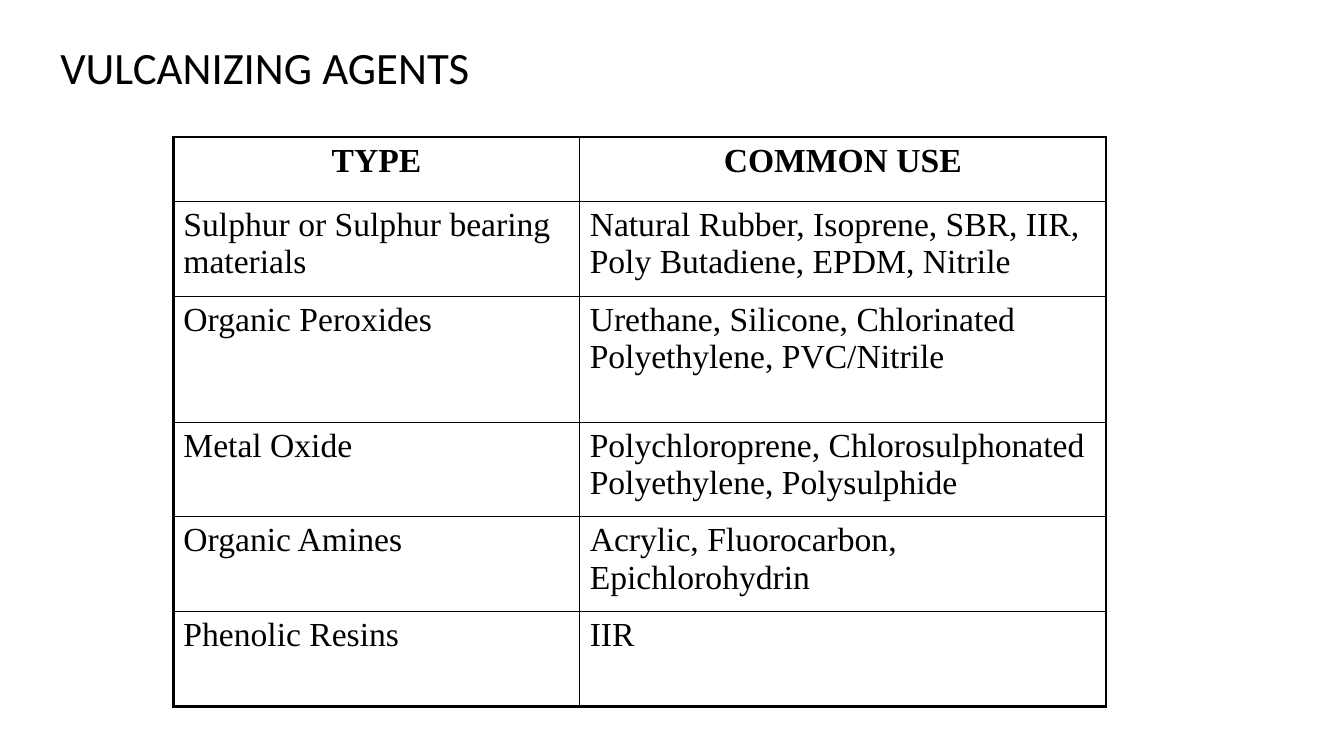
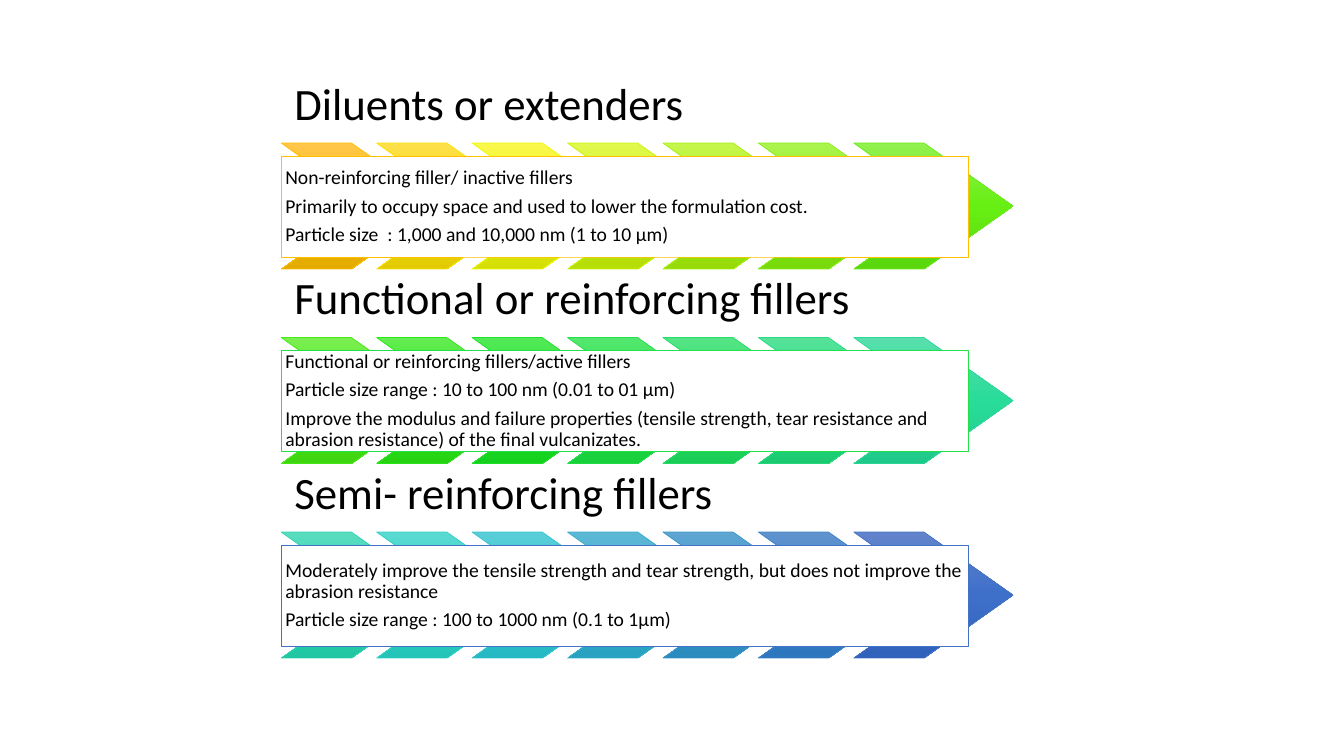
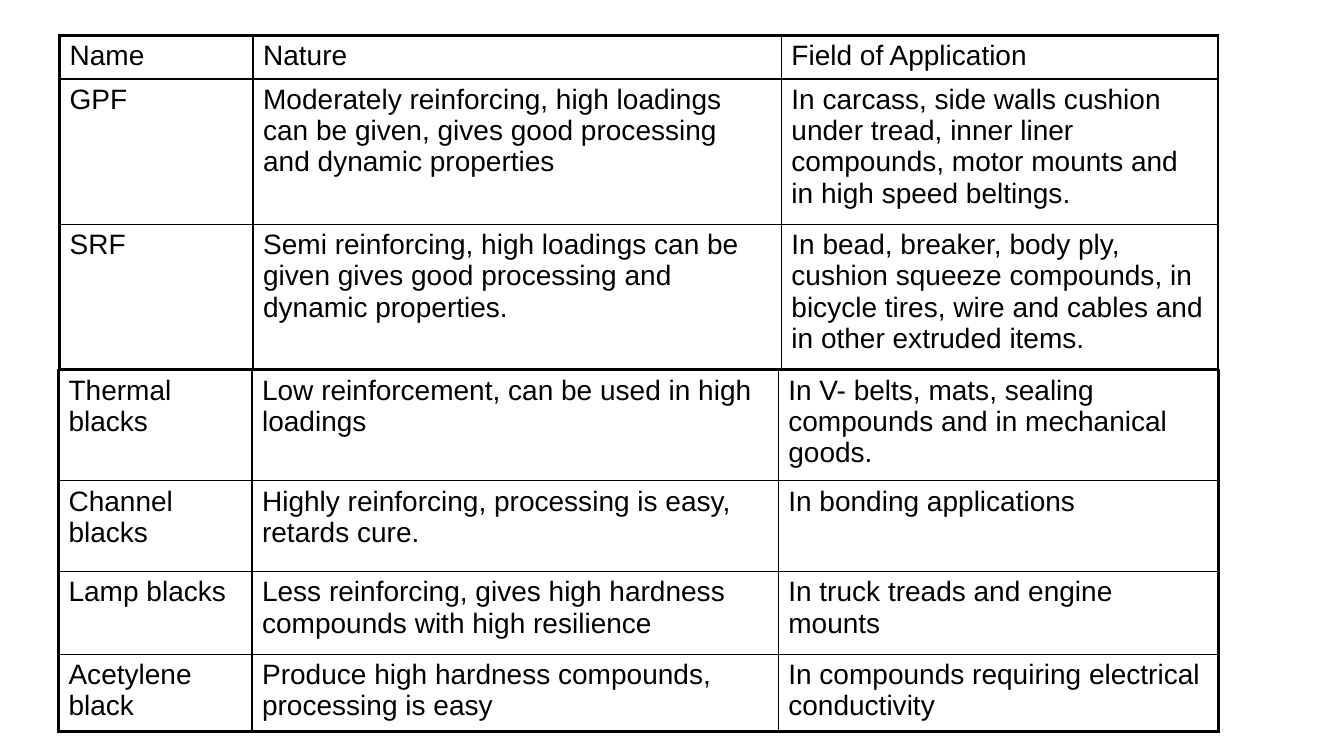
from colorsys import hls_to_rgb, rgb_to_hls
from copy import deepcopy

from lxml.etree import SubElement
from pptx import Presentation
from pptx.dml.color import RGBColor
from pptx.enum.shapes import MSO_SHAPE
from pptx.enum.text import MSO_ANCHOR, PP_ALIGN
from pptx.oxml.ns import qn
from pptx.util import Inches, Pt

BLACK, WHITE = "000000", "FFFFFF"
THICK, THIN = 2.25, 1


def rgb(code):
    """Turn a hex string into a colour."""
    return RGBColor.from_string(code)


def blend(start, end, share):
    """Return the colour at a share of the way through the hues."""
    a, b = ([v / 255 for v in rgb(c)] for c in (start, end))
    hls = [u + (v - u) * share for u, v in zip(rgb_to_hls(*a), rgb_to_hls(*b))]
    return "".join(f"{round(v * 255):02X}" for v in hls_to_rgb(*hls))


class Deck:
    """Hold the style and the current slide; lengths are percent of the slide."""

    FONT = "Calibri"
    HEADING, BODY = 32, 14
    LINE_SPACING = 0.9

    def __init__(self):
        """Start a widescreen presentation."""
        self.prs = Presentation()
        self.prs.slide_width, self.prs.slide_height = Inches(13.33), Inches(7.5)

    def slide(self):
        """Add a blank slide and make it current."""
        self.s = self.prs.slides.add_slide(self.prs.slide_layouts[6])

    def x(self, share):
        """Convert a percentage of the width."""
        return round(self.prs.slide_width * share / 100)

    def y(self, share):
        """Convert a percentage of the height."""
        return round(self.prs.slide_height * share / 100)

    def place(self, left, top, width, height):
        """Convert a whole frame."""
        return self.x(left), self.y(top), self.x(width), self.y(height)

    def style(self, p, size, font=FONT, bold=False):
        """Set the font of a paragraph."""
        f = p.font
        f.name, f.size, f.bold = font, Pt(size), bold
        f.color.rgb = rgb(BLACK)

    def fill_text(self, tf, lines, size, anchor, inset=None, after=0):
        """Fill a text frame with paragraphs."""
        tf.word_wrap, tf.vertical_anchor = True, anchor
        if inset is not None:
            tf.margin_left = tf.margin_right = Inches(inset)
            tf.margin_top = tf.margin_bottom = Inches(inset)
        for i, line in enumerate(lines):
            p = tf.add_paragraph() if i else tf.paragraphs[0]
            p.text, p.alignment = line, PP_ALIGN.LEFT
            p.line_spacing, p.space_after = self.LINE_SPACING, Pt(after)
            self.style(p, size)

    def heading(self, frame, text, anchor=MSO_ANCHOR.MIDDLE, inset=None):
        """Add a heading."""
        box = self.s.shapes.add_textbox(*self.place(*frame))
        self.fill_text(box.text_frame, [text], self.HEADING, anchor, inset)

    def shape(self, kind, frame, line):
        """Add an outlined shape without a shadow."""
        sp = self.s.shapes.add_shape(kind, *self.place(*frame))
        sp.shadow.inherit = False
        sp.line.color.rgb, sp.line.width = rgb(line), Pt(0.5)
        return sp

    def chevron(self, frame, stops, line):
        """Add a chevron with a gradient from top to bottom."""
        sp = self.shape(MSO_SHAPE.CHEVRON, frame, line)
        sp.adjustments[0] = 0.706
        sp.fill.gradient()
        sp.fill.gradient_angle = 270
        first = next(sp._element.spPr.iter(qn("a:gs")))
        first.addnext(deepcopy(first))
        for i, (stop, colour) in enumerate(zip(sp.fill.gradient_stops, stops)):
            stop.position, stop.color.rgb = i / 2, rgb(colour)

    def panel(self, frame, lines, line):
        """Add a white box with text."""
        sp = self.shape(MSO_SHAPE.RECTANGLE, frame, line)
        sp.fill.solid()
        sp.fill.fore_color.rgb = rgb(WHITE)
        self.fill_text(sp.text_frame, lines, self.BODY, MSO_ANCHOR.MIDDLE, 0.04, 5)

    def border(self, cell, widths):
        """Draw the left, right, top and bottom borders of a cell."""
        tc = cell._tc.get_or_add_tcPr()
        for i, (side, width) in enumerate(zip("LRTB", widths)):
            ln = tc.makeelement(qn(f"a:ln{side}"), {"w": str(int(Pt(width)))})
            fill = SubElement(ln, qn("a:solidFill"))
            SubElement(fill, qn("a:srgbClr"), val=BLACK)
            tc.insert(i, ln)

    def table(self, left, top, cols, heights, rows, font, size, header=False, top_line=THICK):
        """Add a table with a thick frame and thin inner lines."""
        frame = self.place(left, top, sum(cols), sum(heights))
        t = self.s.shapes.add_table(len(rows), len(cols), *frame).table
        t.first_row = t.horz_banding = False
        for col, width in zip(t.columns, cols):
            col.width = self.x(width)
        for r, (row, height) in enumerate(zip(rows, heights)):
            t.rows[r].height = self.y(height)
            for c, text in enumerate(row):
                cell, head = t.cell(r, c), header and r == 0
                cell.fill.background()
                self.border(cell, (
                    THICK if c == 0 else THIN,
                    THICK if c == len(cols) - 1 else THIN,
                    top_line if r == 0 else THIN,
                    THICK if r == len(rows) - 1 else THIN))
                p = cell.text_frame.paragraphs[0]
                p.text = text
                p.alignment = PP_ALIGN.CENTER if head else PP_ALIGN.LEFT
                self.style(p, size, font, head)


AGENTS = [
    ("TYPE", "COMMON USE"),
    ("Sulphur or Sulphur bearing materials",
     "Natural Rubber, Isoprene, SBR, IIR, Poly Butadiene, EPDM, Nitrile"),
    ("Organic Peroxides", "Urethane, Silicone, Chlorinated Polyethylene, PVC/Nitrile"),
    ("Metal Oxide", "Polychloroprene, Chlorosulphonated Polyethylene, Polysulphide"),
    ("Organic Amines", "Acrylic, Fluorocarbon, Epichlorohydrin"),
    ("Phenolic Resins", "IIR"),
]

FILLERS = [
    ("Diluents or extenders", [
        "Non-reinforcing filler/ inactive fillers",
        "Primarily to occupy space and used to lower the formulation cost.",
        "Particle size  : 1,000 and 10,000 nm (1 to 10 μm)"]),
    ("Functional or reinforcing fillers", [
        "Functional or reinforcing fillers/active fillers",
        "Particle size range : 10 to 100 nm (0.01 to 01 μm)",
        "Improve the modulus and failure properties (tensile strength, tear resistance "
        "and abrasion resistance) of the final vulcanizates."]),
    ("Semi- reinforcing fillers", [
        "Moderately improve the tensile strength and tear strength, but does not improve "
        "the abrasion resistance",
        "Particle size range : 100 to 1000 nm (0.1 to 1μm)"]),
]

FURNACE_BLACKS = [
    ("Name", "Nature", "Field of Application"),
    ("GPF",
     "Moderately reinforcing, high loadings can be given, gives good processing and "
     "dynamic properties",
     "In carcass, side walls cushion under tread, inner liner compounds, motor mounts "
     "and in high speed beltings."),
    ("SRF",
     "Semi reinforcing, high loadings can be given gives good processing and dynamic "
     "properties.",
     "In bead, breaker, body ply, cushion squeeze compounds, in bicycle tires, wire and "
     "cables and in other extruded items."),
]

OTHER_BLACKS = [
    ("Thermal blacks", "Low reinforcement, can be used in high loadings",
     "In V- belts, mats, sealing compounds and in mechanical goods."),
    ("Channel blacks", "Highly reinforcing, processing is easy, retards cure.",
     "In bonding applications"),
    ("Lamp blacks", "Less reinforcing, gives high hardness compounds with high resilience",
     "In truck treads and engine mounts"),
    ("Acetylene black", "Produce high hardness compounds, processing is easy",
     "In compounds requiring electrical conductivity"),
]

OUTLINE = ("FFC000", "4472C4")
GRADIENT = [("FFC64B", "6183CB"), ("FFC000", "3E70CA"), ("E3AB00", "3062BB")]


def agents_slide(deck):
    """Build the table of vulcanizing agents."""
    deck.slide()
    deck.heading((3.75, 4, 67.5, 10.4), "VULCANIZING AGENTS")
    deck.table(12.9, 18.13, (30.23, 39.16), (8.53, 12.53, 16.67, 12.53, 12.53, 12.53),
               AGENTS, "Times New Roman", 24, header=True)


def fillers_slide(deck):
    """Build the three filler groups on chevron bands."""
    deck.slide()
    left, count = 20.93, 7
    last = count * len(FILLERS) - 1
    for g, (title, lines) in enumerate(FILLERS):
        top = 10.8 + g * 25.73
        deck.heading((left, top, 50.5, 8.13), title, MSO_ANCHOR.BOTTOM, 0.13)
        for i in range(count):
            share = (g * count + i) / last
            deck.chevron((left + i * 7.1, top + 8.13, 11.85, 16.67),
                         [blend(*ends, share) for ends in GRADIENT],
                         blend(*OUTLINE, share))
        deck.panel((left, top + 9.87, 51.16, 13.33), lines,
                   blend(*OUTLINE, g / (len(FILLERS) - 1)))


def blacks_slide(deck):
    """Build the two stacked tables of carbon blacks."""
    deck.slide()
    deck.table(4.43, 4.67, (14.4, 39.31, 32.48), (5.73, 19.2, 19.2),
               FURNACE_BLACKS, "Arial", 20)
    deck.table(4.35, 48.93, (14.4, 39.16, 32.78), (14.67, 12, 10.93, 10.27),
               OTHER_BLACKS, "Arial", 20, top_line=THIN)


def main():
    """Build and save the deck."""
    deck = Deck()
    for build in (agents_slide, fillers_slide, blacks_slide):
        build(deck)
    deck.prs.save("out.pptx")


if __name__ == "__main__":
    main()
